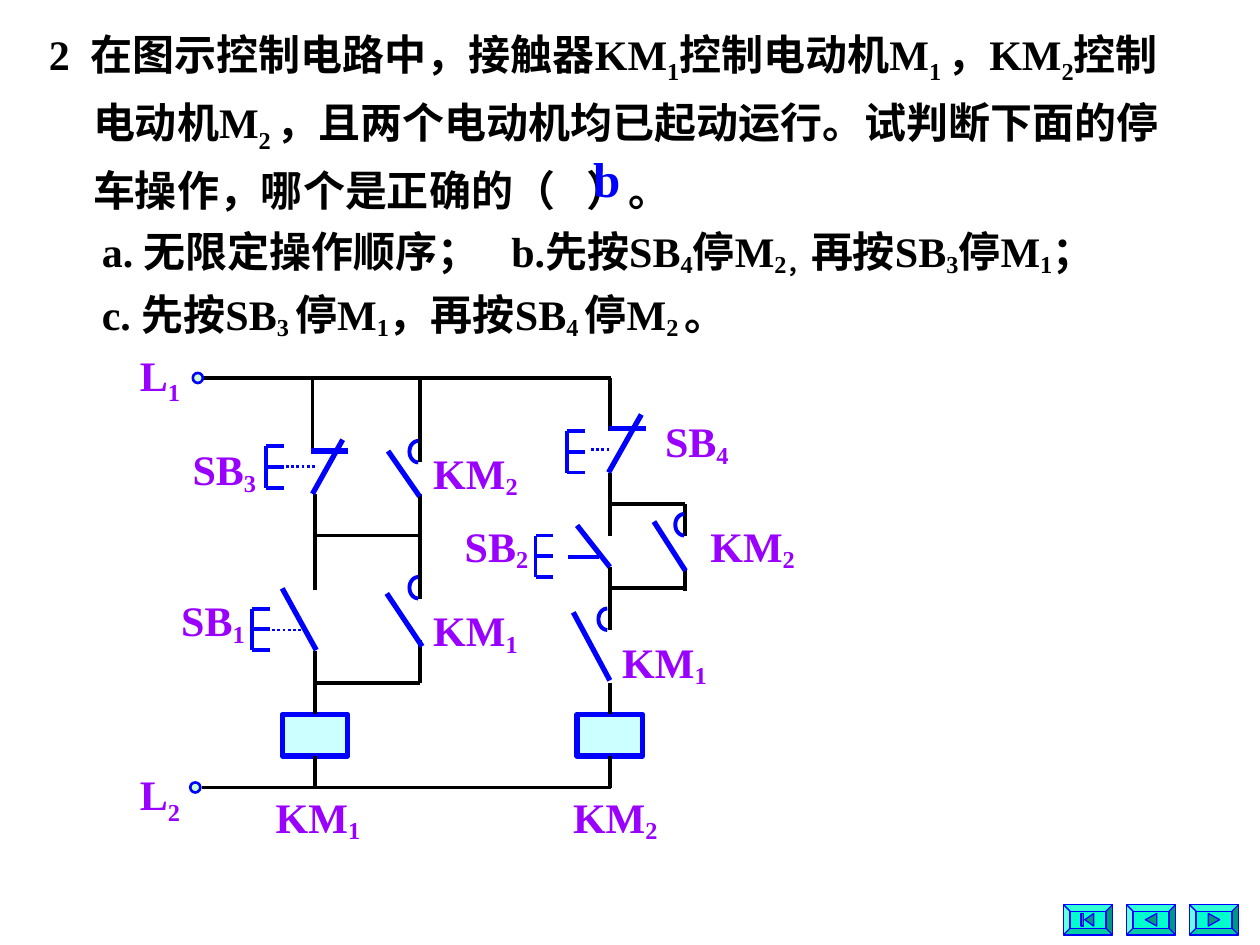
from math import cos, pi, sin

from lxml import etree
from pptx import Presentation
from pptx.dml.color import RGBColor
from pptx.enum.dml import MSO_LINE
from pptx.enum.shapes import MSO_CONNECTOR, MSO_SHAPE
from pptx.enum.text import MSO_ANCHOR, MSO_AUTO_SIZE, PP_ALIGN
from pptx.oxml.ns import qn
from pptx.util import Cm, Pt

STRAIGHT = MSO_CONNECTOR.STRAIGHT
RECTANGLE, OVAL, BEVEL = MSO_SHAPE.RECTANGLE, MSO_SHAPE.OVAL, MSO_SHAPE.BEVEL
DOTTED = MSO_LINE.ROUND_DOT
TOP, MIDDLE = MSO_ANCHOR.TOP, MSO_ANCHOR.MIDDLE
LEFT, CENTER = PP_ALIGN.LEFT, PP_ALIGN.CENTER
FIT_SHAPE, NO_FIT = MSO_AUTO_SIZE.SHAPE_TO_FIT_TEXT, MSO_AUTO_SIZE.NONE

BLACK = RGBColor(0x00, 0x00, 0x00)
BLUE = RGBColor(0x00, 0x00, 0xFF)
PURPLE = RGBColor(0x99, 0x00, 0xFF)
PALE_CYAN = RGBColor(0xCC, 0xFF, 0xFF)
PALE_GREEN = RGBColor(0xCC, 0xFF, 0xCC)
TURQUOISE = RGBColor(0x00, 0xFF, 0xCC)
DARK_TEAL = RGBColor(0x00, 0x99, 0x7A)

FONT = {"name": "Times New Roman", "bold": True}
GRID = 2.54  # centimetres per grid unit of the circuit
WIRE, THICK, THIN = 2.25, 3, 1.5
GAP = "　"  # wide space, set at a smaller size

# Text pieces are split by "|"; a leading "_" marks a subscript.
# Each line: left indent, subscript offset in percent, gap size, text
QUESTION = [
    (0.33, -25, 12, "2|　|在图示控制电路中，接触器KM|_1|控制电动机M|_1 |，KM|_2|控制"),
    (0.68, -25, 18, "电动机M|_2 |，且两个电动机均已起动运行。试判断下面的停"),
    (0.68, -25, 18, "车操作，哪个是正确的（|　|）。"),
    (0.75, -14, 18, "a. 无限定操作顺序；|　|b.先按SB|_4|停M|_2，|再按SB|_3|停M|_1|；"),
    (0.75, -14, 18, "c. 先按SB|_3 |停M|_1|，再按SB|_4 |停M|_2 |。"),
]
# Label: text, left, top, width
LABELS = [
    ("KM|_1", 2.09, 6.23, 0.87), ("KM|_2", 4.45, 6.23, 0.87),
    ("KM|_1", 3.34, 4.75, 0.87), ("KM|_1", 4.84, 5, 0.87),
    ("KM|_2", 3.34, 3.5, 0.87), ("KM|_2", 5.54, 4.08, 0.87),
    ("SB|_1", 1.34, 4.67, 0.73), ("SB|_2", 3.59, 4.08, 0.73),
    ("SB|_3", 1.43, 3.47, 0.73), ("SB|_4", 5.18, 3.25, 0.73),
]
WIRES = [
    (1.59, 3, 4.85, 3), (1.6, 6.25, 4.85, 6.25),
    # Left branch and its parallel contacts
    (2.48, 3, 2.48, 3.58), (2.5, 3.92, 2.5, 4.68),
    (3.33, 3, 3.33, 3.67), (3.33, 3.92, 3.33, 4.25),
    (3.33, 4.25, 3.33, 4.75), (3.33, 5.08, 3.33, 5.42),
    (2.5, 4.25, 3.33, 4.25), (2.5, 5.42, 3.33, 5.42),
    # Right branch and its parallel contact
    (4.84, 3, 4.84, 3.42), (4.84, 3.75, 4.84, 4.25), (4.84, 4.5, 4.84, 5),
    (4.84, 4, 5.44, 4), (5.44, 4, 5.44, 4.25),
    (5.44, 4.52, 5.44, 4.69), (4.84, 4.67, 5.44, 4.67),
]
BLADES = [
    (2.72, 3.49, 2.48, 3.92), (2.47, 3.58, 2.76, 3.58),
    (5.09, 3.29, 4.83, 3.75), (4.83, 3.4, 5.13, 3.4),
    (2.24, 4.67, 2.51, 5.16), (3.08, 3.58, 3.33, 3.94),
    (3.07, 4.71, 3.35, 5.13), (4.58, 4.17, 4.84, 4.5),
    (4.55, 4.86, 4.84, 5.4), (5.19, 4.14, 5.44, 4.53),
]
DOTTED_LINKS = [(2.27, 3.7, 2.51, 3.7), (4.69, 3.57, 4.85, 3.57), (2.16, 5, 2.4, 5)]
PUSH_BUTTONS = [(2, 4.83), (4.5, 3.42), (2.11, 3.54), (4.25, 4.25)]
CONTACT_ARCS = [(3.25, 3.5), (3.25, 4.58), (4.75, 4.83), (5.36, 4.08)]
COILS = [(2.24, 5.17), (4.58, 5.42)]  # left side, start of the wire above
TERMINALS = [(1.53, 2.96), (1.51, 6.21)]


def grid(*values):
    return [Cm(value * GRID) for value in values]


def set_values(target, values):
    for name, value in values.items():
        setattr(target, name, value)


def add_line(slide, ends, color=BLACK, width=WIRE, dash=None):
    line = slide.shapes.add_connector(STRAIGHT, *grid(*ends))
    line.line.color.rgb = color
    set_values(line.line, {"width": Pt(width), "dash_style": dash})
    etree.SubElement(line._element.spPr, qn("a:effectLst"))
    return line


def style_shape(shape, fill, color, width):
    shape.shadow.inherit = False
    if fill is None:
        shape.fill.background()
    else:
        shape.fill.solid()
        shape.fill.fore_color.rgb = fill
    shape.line.color.rgb = color
    shape.line.width = Pt(width)


def add_preset(slide, kind, box, fill, width):
    shape = slide.shapes.add_shape(kind, *grid(*box))
    style_shape(shape, fill, BLUE, width)
    return shape


def add_outline(slide, points, fill, width, close):
    points = [grid(*point) for point in points]
    builder = slide.shapes.build_freeform(*points[0])
    builder.add_line_segments(points[1:], close=close)
    style_shape(builder.convert_to_shape(), fill, BLUE, width)


def add_runs(paragraph, text, color, size, offset, gap_size=18):
    for piece in text.split("|"):
        run = paragraph.add_run()
        run.text = piece.removeprefix("_")
        set_values(run.font, {**FONT, "size": Pt(gap_size if piece == GAP else size)})
        run.font.color.rgb = color
        if piece.startswith("_"):
            run._r.get_or_add_rPr().set("baseline", str(offset * 1000))


def add_label(slide, text, box, color=PURPLE, size=24, offset=-16,
              align=LEFT, anchor=TOP):
    frame = slide.shapes.add_textbox(*grid(*box)).text_frame
    set_values(frame, {"word_wrap": False, "auto_size": FIT_SHAPE,
                       "vertical_anchor": anchor})
    frame.paragraphs[0].alignment = align
    add_runs(frame.paragraphs[0], text, color, size, offset)


def add_question(slide):
    frame = slide.shapes.add_textbox(*grid(-0.04, 0.08, 9.89, 2.68)).text_frame
    set_values(frame, {"word_wrap": True, "auto_size": NO_FIT,
                       "vertical_anchor": MIDDLE, "margin_right": 0})
    for index, (indent, offset, gap_size, text) in enumerate(QUESTION):
        paragraph = frame.add_paragraph() if index else frame.paragraphs[0]
        paragraph._p.get_or_add_pPr().set("marL", str(grid(indent)[0]))
        paragraph.line_spacing = 1.2
        add_runs(paragraph, text, BLACK, 24, offset, gap_size)


def add_push_button(slide, left, top):
    height, arm = 0.33, 0.14
    add_line(slide, (left, top, left, top + height), BLUE)
    for step in range(3):
        y = top + step * height / 2
        add_line(slide, (left + arm, y, left, y), BLUE)


def add_contact_arc(slide, left, top):
    width, radius, steps = 0.07, 0.085, 16
    angles = [pi * step / steps for step in range(steps + 1)]
    points = [(left + width * (1 - sin(angle)), top + radius * (1 - cos(angle)))
              for angle in angles]
    add_outline(slide, points, None, WIRE, False)


def add_coil(slide, left, wire_top):
    width, top, height, bus = 0.52, 5.67, 0.33, 6.25
    middle, bottom = left + width / 2, top + height
    coil = add_preset(slide, RECTANGLE, (left, top, width, height), PALE_CYAN, THICK)
    add_line(slide, (middle, wire_top, middle, top)).end_connect(coil, 0)
    add_line(slide, (middle, bottom, middle, bus)).begin_connect(coil, 2)


def add_navigation_button(slide, left, symbols):
    top = 7.18
    button = add_preset(slide, BEVEL, (left, top, 0.39, 0.24), TURQUOISE, 0.75)
    button.adjustments[0] = 0.22
    for symbol in symbols:
        points = [(left + x, top + y) for x, y in symbol]
        add_outline(slide, points, DARK_TEAL, 0.75, True)


def main():
    presentation = Presentation()
    presentation.slide_width, presentation.slide_height = Cm(25.4), Cm(19.05)
    slide = presentation.slides.add_slide(presentation.slide_layouts[6])

    # Question and answer
    add_question(slide)
    add_label(slide, "b", (4.61, 1.13, 0.41, 0.57), BLUE, 28,
              align=CENTER, anchor=MIDDLE)

    # Circuit
    for ends in WIRES:
        add_line(slide, ends)
    for coil in COILS:
        add_coil(slide, *coil)
    for button in PUSH_BUTTONS:
        add_push_button(slide, *button)
    for arc in CONTACT_ARCS:
        add_contact_arc(slide, *arc)
    for ends in BLADES:
        add_line(slide, ends, BLUE, THICK)
    for ends in DOTTED_LINKS:
        add_line(slide, ends, BLUE, THIN, DOTTED)
    add_line(slide, (4.51, 4.42, 4.75, 4.42), BLUE)
    for left, top in TERMINALS:
        add_preset(slide, OVAL, (left, top, 0.08, 0.08), PALE_GREEN, THIN)

    # Labels
    for text, left, top, width in LABELS:
        add_label(slide, text, (left, top, width, 0.53))
    for text, top in (("L|_1", 2.72), ("L|_2", 6.05)):
        add_label(slide, text, (1.01, top, 0.52, 0.56), offset=-25,
                  align=CENTER, anchor=MIDDLE)

    # Navigation buttons
    bar = [(0.14, 0.07), (0.16, 0.07), (0.16, 0.17), (0.14, 0.17)]
    start = [(0.17, 0.12), (0.24, 0.07), (0.24, 0.17)]
    back = [(0.15, 0.12), (0.24, 0.07), (0.24, 0.17)]
    forward = [(0.15, 0.07), (0.24, 0.12), (0.15, 0.17)]
    for index, symbols in enumerate(([bar, start], [back], [forward])):
        add_navigation_button(slide, 8.44 + index * 0.5, symbols)

    presentation.save("out.pptx")


if __name__ == "__main__":
    main()
